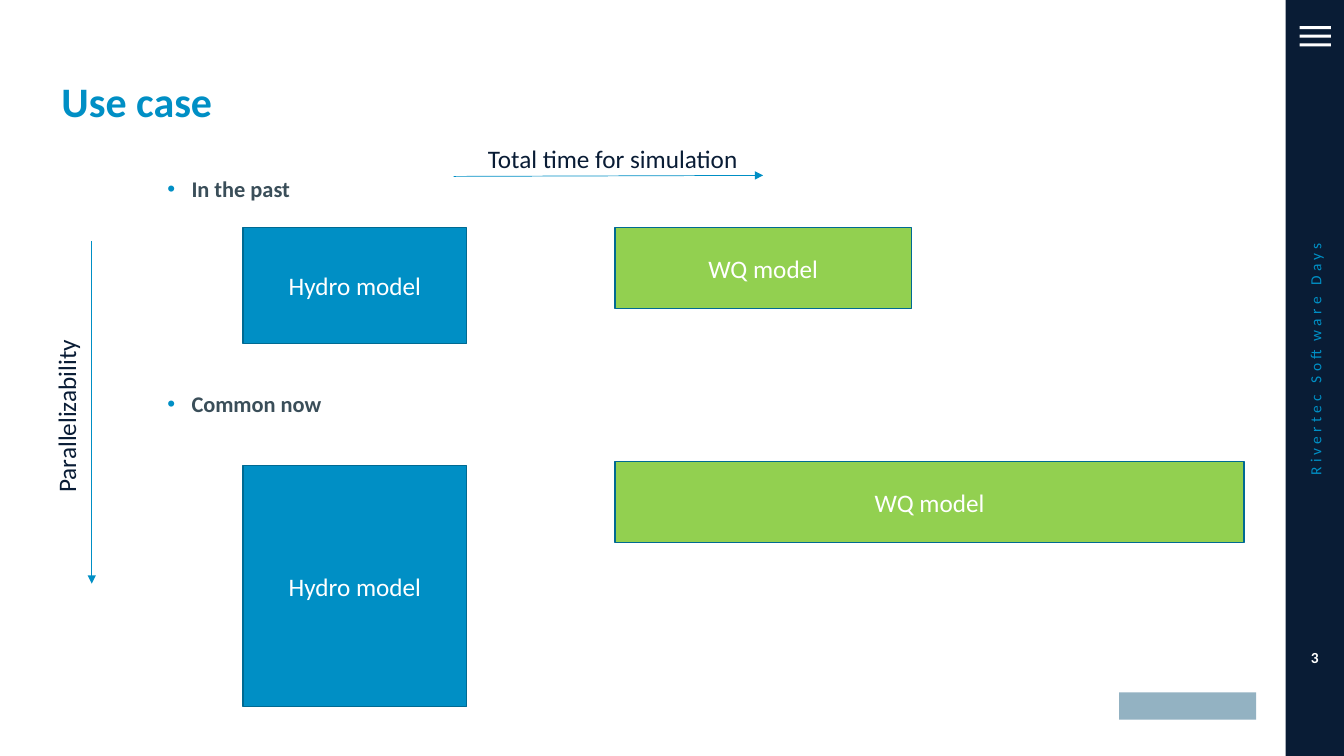
from lxml.etree import SubElement
from pptx import Presentation
from pptx.dml.color import RGBColor
from pptx.enum.shapes import MSO_CONNECTOR, MSO_SHAPE
from pptx.enum.text import MSO_ANCHOR, MSO_AUTO_SIZE, PP_ALIGN
from pptx.oxml.ns import qn
from pptx.util import Inches, Pt

FONT = "Calibri"
BLUE = RGBColor(0x00, 0x8F, 0xC5)
DARK_BLUE = RGBColor(0x00, 0x6A, 0x92)
GREEN = RGBColor(0x92, 0xD0, 0x50)
NAVY = RGBColor(0x09, 0x1C, 0x35)
SLATE = RGBColor(0x3A, 0x4E, 0x59)
GREY_BLUE = RGBColor(0x93, 0xB2, 0xC2)
WHITE = RGBColor(0xFF, 0xFF, 0xFF)

HYDRO_LEFT, HYDRO_WIDTH = 2.41, 2.22
WQ_LEFT, WQ_HEIGHT = 6.1, 0.8


def add_run(paragraph, text, size, color, bold=False):
    run = paragraph.add_run()
    run.text = text
    run.font.name = FONT
    run.font.size = Pt(size)
    run.font.bold = bold
    run.font.color.rgb = color
    return run


def clear_margins(frame):
    frame.margin_left = frame.margin_right = Inches(0)
    frame.margin_top = frame.margin_bottom = Inches(0)


def add_title(slide, text):
    title = slide.shapes.title
    title.left, title.top = Inches(0.61), Inches(0.81)
    title.width, title.height = Inches(11.82), Inches(0.54)
    frame = title.text_frame
    clear_margins(frame)
    frame.vertical_anchor = MSO_ANCHOR.TOP
    paragraph = frame.paragraphs[0]
    paragraph.alignment = PP_ALIGN.LEFT
    paragraph.line_spacing = 0.9
    add_run(paragraph, text, 30, BLUE, bold=True)


def add_block(slide, left, top, width, height, fill):
    block = slide.shapes.add_shape(
        MSO_SHAPE.RECTANGLE, Inches(left), Inches(top), Inches(width), Inches(height))
    block.shadow.inherit = False
    block.fill.solid()
    block.fill.fore_color.rgb = fill
    block.line.fill.background()
    return block


def add_model(slide, left, top, width, height, fill, label):
    model = add_block(slide, left, top, width, height, fill)
    model.line.color.rgb = DARK_BLUE
    model.line.width = Pt(1)
    model.text_frame.vertical_anchor = MSO_ANCHOR.MIDDLE
    paragraph = model.text_frame.paragraphs[0]
    paragraph.alignment = PP_ALIGN.CENTER
    add_run(paragraph, label, 18, WHITE)


def add_frame(slide, left, top, width, height, rotation=0):
    box = slide.shapes.add_textbox(
        Inches(left), Inches(top), Inches(width), Inches(height))
    box.rotation = rotation
    return box.text_frame


def add_bullet(slide, top, text):
    frame = add_frame(slide, 1.66, top, 10.5, 0.4)
    frame.word_wrap = True
    clear_margins(frame)
    paragraph = frame.paragraphs[0]
    properties = paragraph._p.get_or_add_pPr()
    properties.set("marL", str(Inches(0.24)))
    properties.set("indent", str(-Inches(0.24)))
    color = SubElement(SubElement(properties, qn("a:buClr")), qn("a:srgbClr"))
    color.set("val", str(BLUE))
    SubElement(properties, qn("a:buFont")).set("typeface", "Arial")
    SubElement(properties, qn("a:buChar")).set("char", "•")
    add_run(paragraph, text, 16, SLATE, bold=True)


def add_axis_label(slide, left, top, width, text, rotation=0):
    frame = add_frame(slide, left, top, width, 0.4, rotation)
    frame.word_wrap = False
    frame.auto_size = MSO_AUTO_SIZE.SHAPE_TO_FIT_TEXT
    add_run(frame.paragraphs[0], text, 18, NAVY)


def add_axis_arrow(slide, x1, y1, x2, y2):
    arrow = slide.shapes.add_connector(
        MSO_CONNECTOR.STRAIGHT, Inches(x1), Inches(y1), Inches(x2), Inches(y2))
    arrow.line.color.rgb = BLUE
    arrow.line.width = Pt(0.5)
    SubElement(arrow.line._get_or_add_ln(), qn("a:tailEnd")).set("type", "triangle")
    SubElement(arrow._element.spPr, qn("a:effectLst"))


def add_sidebar_text(slide, left, top, width, height, text, color, bold=False, rotation=0):
    frame = add_frame(slide, left, top, width, height, rotation)
    frame.word_wrap = True
    clear_margins(frame)
    frame.vertical_anchor = MSO_ANCHOR.MIDDLE
    paragraph = frame.paragraphs[0]
    paragraph.alignment = PP_ALIGN.CENTER
    return add_run(paragraph, text, 11, color, bold)


def add_sidebar(slide):
    add_block(slide, 12.75, 0, 0.58, 7.5, NAVY)
    for bar in range(3):
        add_block(slide, 12.89, 0.26 + bar * 0.085, 0.31, 0.03, WHITE)
    event = add_sidebar_text(
        slide, 10.29, 3.32, 5.51, 0.49, "Rivertec Software Days", BLUE, rotation=270)
    event.font._element.set("spc", "300")
    add_sidebar_text(slide, 12.8, 6.32, 0.48, 0.4, "3", WHITE, bold=True)


def main():
    presentation = Presentation()
    presentation.slide_width = Inches(13.33)
    presentation.slide_height = Inches(7.5)
    slide = presentation.slides.add_slide(presentation.slide_layouts[5])

    add_block(slide, 11.1, 6.87, 1.36, 0.27, GREY_BLUE)
    add_sidebar(slide)
    add_title(slide, "Use case")

    cases = [
        # heading, heading top, hydro top, hydro height, WQ top, WQ width
        ("In the past", 1.74, 2.26, 1.15, 2.26, 2.94),
        ("Common now", 3.87, 4.62, 2.39, 4.58, 6.24),
    ]
    for heading, heading_top, hydro_top, hydro_height, wq_top, wq_width in cases:
        add_bullet(slide, heading_top, heading)
        add_model(slide, HYDRO_LEFT, hydro_top, HYDRO_WIDTH, hydro_height, BLUE, "Hydro model")
        add_model(slide, WQ_LEFT, wq_top, wq_width, WQ_HEIGHT, GREEN, "WQ model")

    add_axis_arrow(slide, 0.91, 2.39, 0.91, 5.79)
    add_axis_arrow(slide, 4.5, 1.75, 7.57, 1.74)
    add_axis_label(slide, 4.74, 1.37, 2.71, "Total time for simulation")
    add_axis_label(slide, -0.24, 3.89, 1.79, "Parallelizability", rotation=270)

    presentation.save("out.pptx")


if __name__ == "__main__":
    main()
